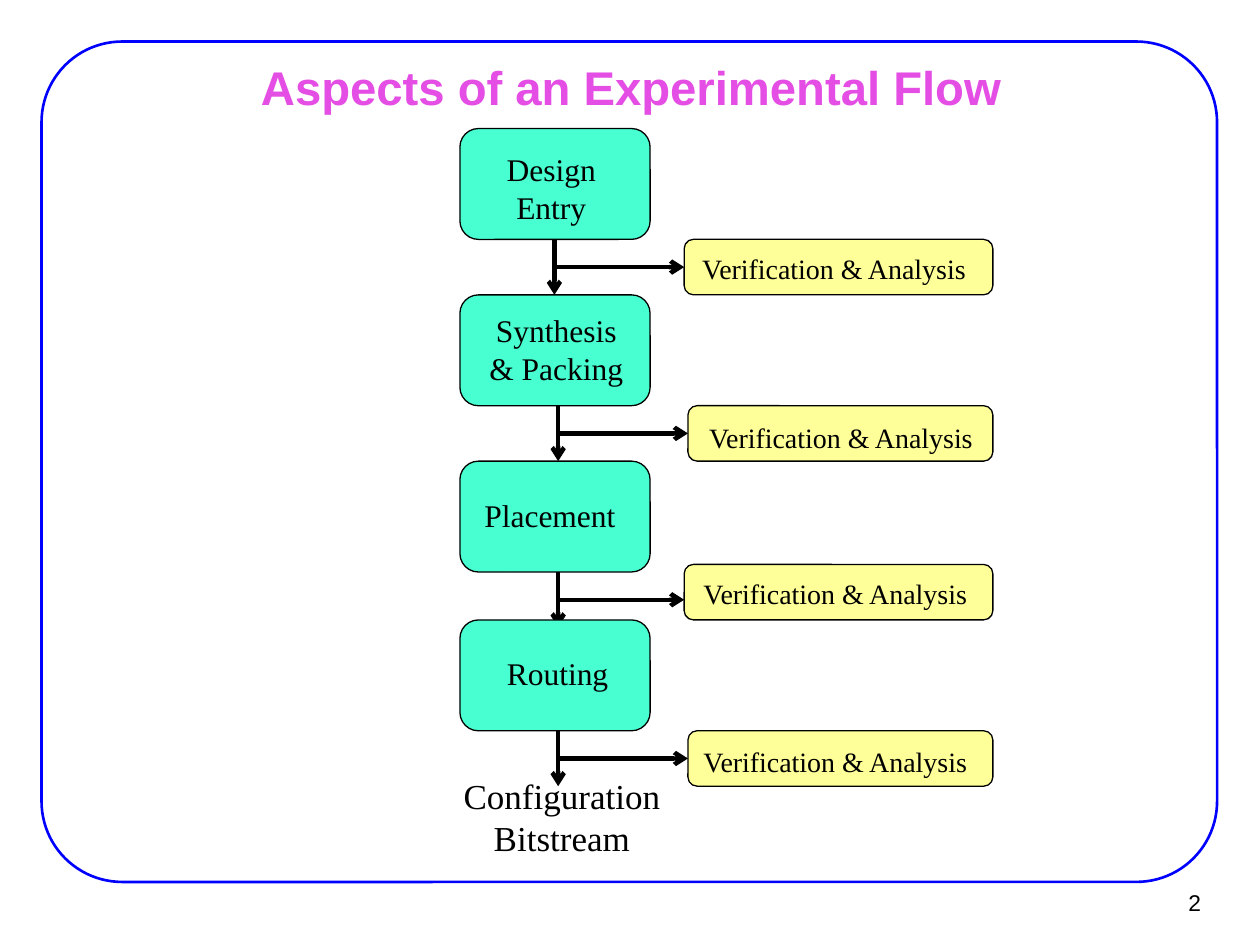
"""Build the experimental flow slide with its stages and verification steps."""
from lxml import etree
from pptx import Presentation
from pptx.dml.color import RGBColor
from pptx.enum.shapes import MSO_CONNECTOR, MSO_SHAPE
from pptx.enum.text import MSO_ANCHOR, PP_ALIGN
from pptx.oxml.ns import qn
from pptx.util import Inches, Pt

ROUNDED = MSO_SHAPE.ROUNDED_RECTANGLE
STRAIGHT = MSO_CONNECTOR.STRAIGHT
CENTER, RIGHT = PP_ALIGN.CENTER, PP_ALIGN.RIGHT
TOP, MIDDLE = MSO_ANCHOR.TOP, MSO_ANCHOR.MIDDLE

BLACK = RGBColor(0x00, 0x00, 0x00)
BLUE = RGBColor(0x00, 0x00, 0xFF)
PINK = RGBColor(0xE4, 0x4E, 0xE4)
GREEN = RGBColor(0x47, 0xFF, 0xD1)
YELLOW = RGBColor(0xFF, 0xFF, 0x99)
SERIF, SANS = "Times New Roman", "Arial"

TITLE = "Aspects of an Experimental Flow"
CHECK = "Verification & Analysis"
RESULT = "Configuration Bitstream"
STAGES = [
    {"name": "Design Entry", "top": 1.02, "label": (3.82, 1.14, 1.11, 0.71),
     "arrow_x": 4.40, "check_left": 5.43, "check_label": (5.37, 1.95, 2.5, 0.37)},
    {"name": "Synthesis & Packing", "top": 2.34, "label": (3.74, 2.42, 1.35, 0.71),
     "arrow_x": 4.43, "check_left": 5.46, "check_label": (5.4, 3.29, 2.55, 0.37)},
    {"name": "Placement", "top": 3.66, "label": (3.66, 3.89, 1.41, 0.4),
     "arrow_x": 4.43, "check_left": 5.43, "check_label": (5.38, 4.53, 2.5, 0.37)},
    {"name": "Routing", "top": 4.92, "label": (3.87, 5.14, 1.11, 0.4),
     "arrow_x": 4.43, "check_left": 5.46, "check_label": (5.38, 5.86, 2.5, 0.37)},
]
STAGE_LEFT, STAGE_WIDTH, STAGE_HEIGHT = 3.65, 1.51, 0.88
CHECK_RIGHT, CHECK_HEIGHT = 7.88, 0.44
ROUTING_TOP = STAGES[-1]["top"]


def add_box(slide, area, line_color, line_width, fill=None, corner=0.167):
    shape = slide.shapes.add_shape(ROUNDED, *map(Inches, area))
    shape.shadow.inherit = False
    shape.adjustments[0] = corner
    shape.line.color.rgb = line_color
    shape.line.width = Pt(line_width)
    if fill is None:
        shape.fill.background()
    else:
        shape.fill.solid()
        shape.fill.fore_color.rgb = fill


def add_text(slide, area, text, size, font=SERIF, color=BLACK, bold=False,
             align=CENTER, anchor=TOP, wrap=True):
    frame = slide.shapes.add_textbox(*map(Inches, area)).text_frame
    frame.word_wrap = wrap
    frame.vertical_anchor = anchor
    paragraph = frame.paragraphs[0]
    paragraph.alignment = align
    run = paragraph.add_run()
    run.text = text
    run.font.name = font
    run.font.size = Pt(size)
    run.font.bold = bold
    run.font.color.rgb = color


def add_arrow(slide, start, end):
    connector = slide.shapes.add_connector(STRAIGHT, *map(Inches, start + end))
    connector.line.color.rgb = BLACK
    connector.line.width = Pt(2.5)
    etree.SubElement(connector.line._get_or_add_ln(), qn("a:tailEnd"), type="arrow")
    etree.SubElement(connector._element.spPr, qn("a:effectLst"))


def add_stage(slide, stage):
    bottom = stage["top"] + STAGE_HEIGHT
    check_top = bottom if stage["name"] != "Placement" else ROUTING_TOP - CHECK_HEIGHT
    check_left, arrow_x = stage["check_left"], stage["arrow_x"]
    branch_y = bottom + CHECK_HEIGHT / 2
    add_arrow(slide, (arrow_x, bottom), (arrow_x, bottom + CHECK_HEIGHT))
    add_arrow(slide, (arrow_x, branch_y), (check_left, branch_y))
    add_box(slide, (STAGE_LEFT, stage["top"], STAGE_WIDTH, STAGE_HEIGHT), BLACK, 0.75, GREEN)
    add_text(slide, stage["label"], stage["name"], 18)
    add_box(slide, (check_left, check_top, CHECK_RIGHT - check_left, CHECK_HEIGHT),
            BLACK, 0.75, YELLOW)
    add_text(slide, stage["check_label"], CHECK, 16)


def main():
    presentation = Presentation()
    presentation.slide_width, presentation.slide_height = Inches(10), Inches(7.5)
    slide = presentation.slides.add_slide(presentation.slide_layouts[6])
    add_box(slide, (0.33, 0.33, 9.33, 6.67), BLUE, 1.5, corner=0.096)
    add_text(slide, (9.02, 6.98, 0.61, 0.37), "2", 13, SANS,
             align=RIGHT, anchor=MIDDLE, wrap=False)
    add_text(slide, (0.76, 0.44, 8.5, 0.49), TITLE, 27, SANS, PINK, True, anchor=MIDDLE)
    for stage in STAGES:
        add_stage(slide, stage)
    add_text(slide, (3.43, 6.1, 2.06, 0.77), RESULT, 20)
    presentation.save("out.pptx")


if __name__ == "__main__":
    main()
